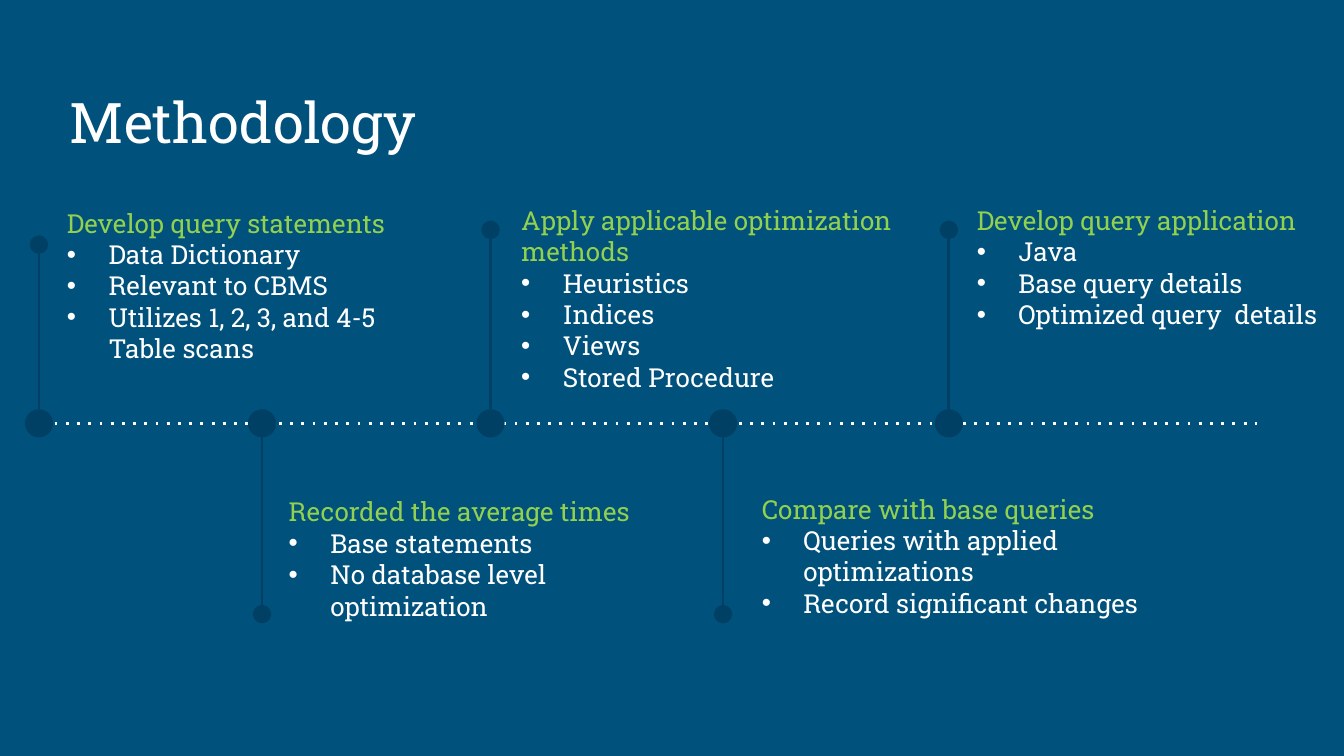
from lxml import etree
from pptx import Presentation
from pptx.dml.color import RGBColor
from pptx.enum import dml, shapes, text
from pptx.oxml import ns
from pptx.util import Inches, Pt

FONT = "Roboto Slab"
BLUE = RGBColor(0x00, 0x51, 0x7C)
NAVY = RGBColor(0x00, 0x40, 0x65)
GREEN = RGBColor(0x92, 0xD0, 0x50)
WHITE = RGBColor(0xFF, 0xFF, 0xFF)

TITLE = "Methodology"
# Each step: marker x, stem end y, text box (left, top, width, height), heading, bullets
STEPS = [
    (0.29, 1.82, (0.4, 1.49, 2.91, 1.28), "Develop query statements",
     ["Data Dictionary", "Relevant to CBMS", "Utilizes 1, 2, 3, and 4-5 Table scans"]),
    (1.95, 4.57, (2.05, 3.64, 2.91, 1.04), "Recorded the average times",
     ["Base statements", "No database level optimization"]),
    (3.65, 1.71, (3.78, 1.47, 3.08, 1.51), "Apply applicable optimization methods",
     ["Heuristics", "Indices", "Views", "Stored Procedure"]),
    (5.38, 4.57, (5.57, 3.62, 3.2, 1.04), "Compare with base queries",
     ["Queries with applied optimizations", "Record significant changes"]),
    (7.06, 1.71, (7.17, 1.47, 3.2, 1.04), "Develop query application",
     ["Java", "Base query details", "Optimized query  details"]),
]
AXIS_Y, AXIS_LEFT, AXIS_RIGHT = 3.15, 0.24, 9.35
MARKER = 0.21
INDENT = 0.31


def style(paragraph, size, color):
    paragraph.font.name = FONT
    paragraph.font.size = Pt(size)
    paragraph.font.color.rgb = color


def add_line(slide, start, end, color):
    line = slide.shapes.add_connector(
        shapes.MSO_CONNECTOR.STRAIGHT, *map(Inches, start + end))
    line.line.color.rgb = color
    line.line.width = Pt(1.5)
    etree.SubElement(line._element.spPr, ns.qn("a:effectLst"))
    return line


def add_marker(slide, x, end_y):
    """Draw a dot on the axis and a stem with a round end."""
    radius = MARKER / 2
    start_y = AXIS_Y + (radius if end_y > AXIS_Y else -radius)
    stem = add_line(slide, (x, start_y), (x, end_y), NAVY)
    etree.SubElement(stem.line._get_or_add_ln(), ns.qn("a:tailEnd"),
                     type="oval", w="lg", len="lg")
    dot = slide.shapes.add_shape(
        shapes.MSO_SHAPE.OVAL, Inches(x - radius), Inches(AXIS_Y - radius),
        Inches(MARKER), Inches(MARKER))
    dot.shadow.inherit = False
    dot.fill.solid()
    dot.fill.fore_color.rgb = NAVY
    dot.line.fill.background()


def add_bullet(paragraph):
    properties = paragraph._p.get_or_add_pPr()
    properties.set("marL", str(Inches(INDENT)))
    properties.set("indent", str(-Inches(INDENT)))
    etree.SubElement(properties, ns.qn("a:buFont"), typeface="Arial")
    etree.SubElement(properties, ns.qn("a:buChar"), char="•")


def add_step_text(slide, box, heading, bullets):
    frame = slide.shapes.add_textbox(*map(Inches, box)).text_frame
    frame.word_wrap = True
    frame.auto_size = text.MSO_AUTO_SIZE.SHAPE_TO_FIT_TEXT
    frame.text = heading
    style(frame.paragraphs[0], 14, GREEN)
    for bullet in bullets:
        paragraph = frame.add_paragraph()
        paragraph.text = bullet
        add_bullet(paragraph)
        style(paragraph, 14, WHITE)


def main():
    presentation = Presentation()
    presentation.slide_width = Inches(10)
    presentation.slide_height = Inches(10 * 9 / 16)
    slide = presentation.slides.add_slide(presentation.slide_layouts[5])
    slide.background.fill.solid()
    slide.background.fill.fore_color.rgb = BLUE

    # Title
    title = slide.shapes.title
    title.left, title.top = Inches(0.42), Inches(0.5)
    title.width, title.height = Inches(9.15), Inches(0.75)
    frame = title.text_frame
    frame.text = TITLE
    frame.auto_size = text.MSO_AUTO_SIZE.NONE
    frame.vertical_anchor = text.MSO_ANCHOR.BOTTOM
    frame.margin_left = frame.margin_right = Inches(0.1)
    frame.margin_top = frame.margin_bottom = Inches(0.1)
    frame.paragraphs[0].alignment = text.PP_ALIGN.LEFT
    style(frame.paragraphs[0], 30, WHITE)

    # Dotted time axis
    axis = add_line(slide, (AXIS_LEFT, AXIS_Y), (AXIS_RIGHT, AXIS_Y), WHITE)
    axis.line.dash_style = dml.MSO_LINE.ROUND_DOT
    axis.line._get_or_add_ln().find(ns.qn("a:prstDash")).set("val", "dot")

    # Steps along the axis
    for x, end_y, box, heading, bullets in STEPS:
        add_marker(slide, x, end_y)
        add_step_text(slide, box, heading, bullets)

    presentation.save("out.pptx")


if __name__ == "__main__":
    main()
